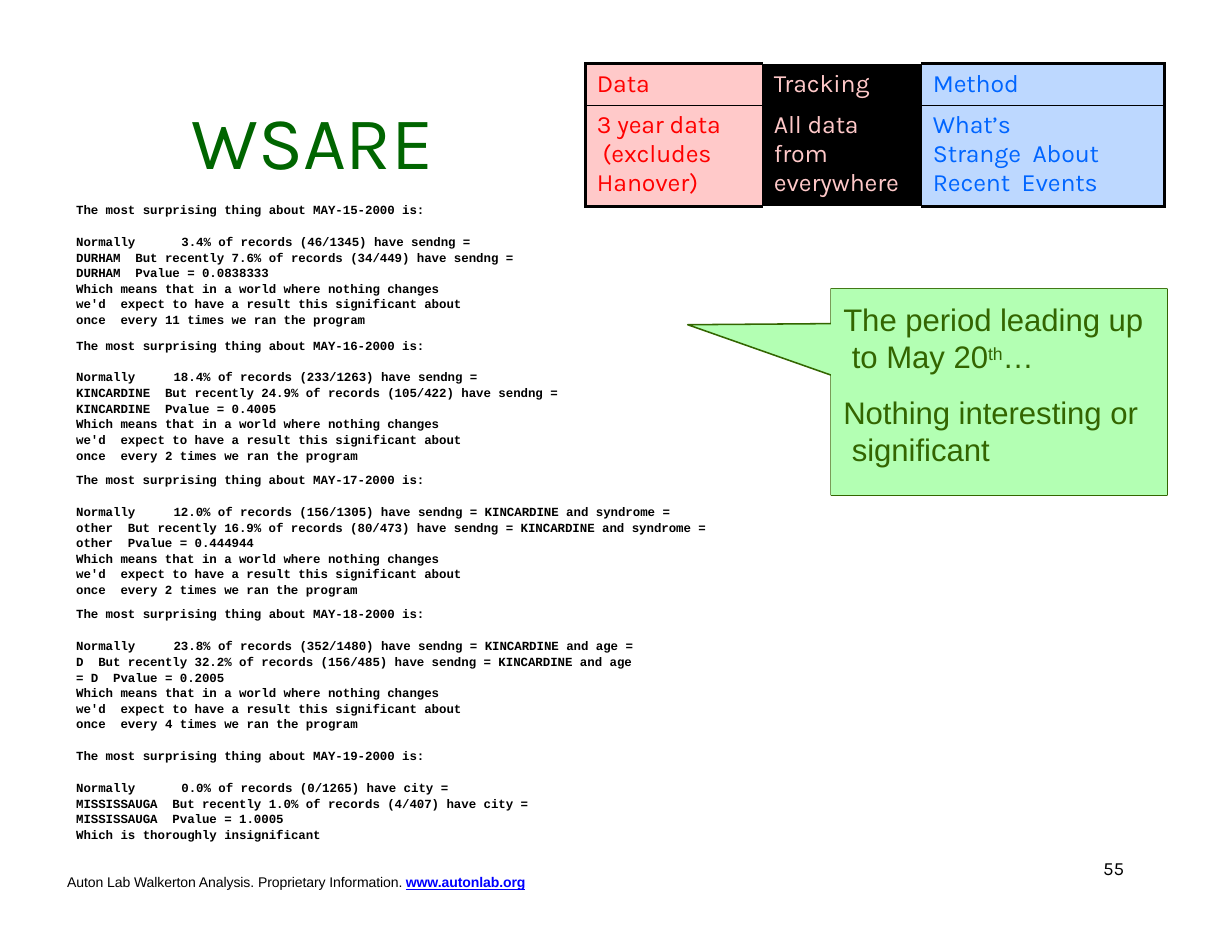
"""Build the WSARE surveillance results slide with its method table and callout."""
import pptx
import pptx.dml.color
import pptx.enum.shapes
import pptx.oxml
import pptx.oxml.ns
import pptx.util
from pptx.util import Inches, Pt


def rgb(value):
    return pptx.dml.color.RGBColor.from_string(value)


def write(p, text, size, font, color, bold=False, spacing=-5):
    for i, line in enumerate(text.split("\n")):
        if i:
            p.add_line_break()
        r = p.add_run()
        r.text = line
        r.font.size = Pt(size)
        r.font.name = font
        r.font.bold = bold
        r.font.color.rgb = rgb(color)
        r._r.get_or_add_rPr().set("spc", str(spacing))
    return r


prs = pptx.Presentation()
prs.slide_width, prs.slide_height = Inches(11), Inches(8.5)
s = prs.slides.add_slide(prs.slide_layouts[6])

labels = [
    (1.7, 0.8, 2.19, 0.83, 0.05, "WSARE", 48, "Karla"),
    (9.82, 7.63, 0.24, 0.23, 0.02, "55", 12, "Karla"),
    (0.59, 7.8, 4.19, 0.17, 0, "Auton Lab Walkerton Analysis. Proprietary Information. ", 9, "Arial"),
]
for left, top, width, height, inset, text, size, font in labels:
    sp = s.shapes.add_textbox(Inches(left), Inches(top), Inches(width), Inches(height))
    tf = sp.text_frame
    tf.word_wrap = text != "55"
    tf.margin_left = Inches(0.03 if text == "55" else 0.01)
    tf.margin_right = tf.margin_bottom = 0
    tf.margin_top = Inches(inset)
    write(tf.paragraphs[0], text, size, font, "006500" if text == "WSARE" else "000000")
r = write(tf.paragraphs[0], "www.autonlab.org", 9, "Arial", "0000FF", bold=True)
r.font.underline = True

meaning = ("Which means that in a world where nothing changes\n"
           "we'd  expect to have a result this significant about\n"
           "once  every {} times we ran the program")
report_boxes = [
    (1.77, 3.99, 1.1, [
        (15, 0.94, "3.4% of records (46/1345) have sendng =\n"
         "DURHAM  But recently 7.6% of records (34/449) have sendng =\n"
         "DURHAM  Pvalue = 0.0838333", meaning.format(11))]),
    (2.98, 4.32, 1.1, [
        (16, 0.87, "18.4% of records (233/1263) have sendng =\n"
         "KINCARDINE  But recently 24.9% of records (105/422) have sendng =\n"
         "KINCARDINE  Pvalue = 0.4005", meaning.format(2))]),
    (4.18, 5.7, 1.1, [
        (17, 0.87, "12.0% of records (156/1305) have sendng = KINCARDINE and syndrome =\n"
         "other  But recently 16.9% of records (80/473) have sendng = KINCARDINE and syndrome =\n"
         "other  Pvalue = 0.444944", meaning.format(2))]),
    (5.38, 5.11, 2.03, [
        (18, 0.87, "23.8% of records (352/1480) have sendng = KINCARDINE and age =\n"
         "D  But recently 32.2% of records (156/485) have sendng = KINCARDINE and age\n"
         "= D  Pvalue = 0.2005", meaning.format(4)),
        (19, 0.94, "0.0% of records (0/1265) have city =\n"
         "MISSISSAUGA  But recently 1.0% of records (4/407) have city =\n"
         "MISSISSAUGA  Pvalue = 1.0005", "Which is thoroughly insignificant")]),
]
for top, width, height, reports in report_boxes:
    sp = s.shapes.add_textbox(Inches(0.67), Inches(top), Inches(width), Inches(height))
    tf = sp.text_frame
    tf.word_wrap = True
    tf.margin_left = Inches(0.01)
    tf.margin_right = tf.margin_bottom = 0
    tf.margin_top = Inches(0.03)
    for n, (day, tab, finding, verdict) in enumerate(reports):
        heading = f"The most surprising thing about MAY-{day}-2000 is:"
        for i, text in enumerate([heading, "Normally\t" + finding, verdict]):
            first = n == 0 and i == 0
            p = tf.paragraphs[0] if first else tf.add_paragraph()
            p.line_spacing = 1.05
            p.space_before = Pt(0 if first or i == 2 else 10.4)
            if i == 1:
                p._p.get_or_add_pPr().append(pptx.oxml.parse_xml(
                    f'<a:tabLst {pptx.oxml.ns.nsdecls("a")}>'
                    f'<a:tab pos="{Inches(tab)}" algn="l"/></a:tabLst>'))
            write(p, text, 8, "Courier New", "000000", bold=True)

columns = [
    (1.58, "FFC9C9", "FF0000", ["Data", "3 year data\n (excludes\nHanover)"]),
    (1.42, "000000", "FFC9C9", ["Tracking", "All data\nfrom\neverywhere"]),
    (2.17, "BDD8FF", "0065FF", ["Method", "What’s\nStrange  About\nRecent  Events"]),
]
table = s.shapes.add_table(2, 3, Inches(5.23), Inches(0.57), Inches(5.17), Inches(1.27)).table
table.first_row = table.horz_banding = False
style = table._tbl.tblPr.find(pptx.oxml.ns.qn("a:tableStyleId"))
style.text = "{2D5ABB26-0587-4C30-8999-92F81FD0307C}"
table.rows[0].height, table.rows[1].height = Inches(0.37), Inches(0.9)
for c, (width, fill, color, texts) in enumerate(columns):
    table.columns[c].width = Inches(width)
    for row, text in enumerate(texts):
        cell = table.cell(row, c)
        outer = {"L": c == 0, "R": c == 2, "T": row == 0, "B": row == 1}
        for side, thick in outer.items():
            if c != 1:
                cell._tc.get_or_add_tcPr().append(pptx.oxml.parse_xml(
                    f'<a:ln{side} {pptx.oxml.ns.nsdecls("a")} w="{Pt(2.25 if thick else 1)}">'
                    '<a:solidFill><a:srgbClr val="000000"/></a:solidFill>'
                    f'</a:ln{side}>'))
        cell.fill.solid()
        cell.fill.fore_color.rgb = rgb(fill)
        cell.margin_left = Inches(0.1)
        cell.margin_right = cell.margin_bottom = 0
        cell.margin_top = Inches(0.05)
        write(cell.text_frame.paragraphs[0], text, 16, "Karla", color)

left, top, right, bottom = 7.42, 2.58, 10.42, 4.42
pointer = [(left, 2.89), (6.14, 2.9), (left, 3.35)]
outline = [(left, top), *pointer, (left, bottom), (right, bottom), (right, top)]
for points in (pointer, outline):
    corners = [(Inches(x), Inches(y)) for x, y in points]
    builder = s.shapes.build_freeform(*corners[0])
    builder.add_line_segments(corners[1:], close=True)
    sp = builder.convert_to_shape()
    sp.shadow.inherit = False
    if points is pointer:
        sp.fill.solid()
        sp.fill.fore_color.rgb = rgb("B3FFB3")
        sp.line.fill.background()
    else:
        sp.fill.background()
        sp.line.color.rgb = rgb("336600")
        sp.line.width = Pt(1)

sp = s.shapes.add_shape(pptx.enum.shapes.MSO_SHAPE.RECTANGLE, Inches(left), Inches(top),
                        Inches(right - left), Inches(bottom - top))
sp.shadow.inherit = False
sp.fill.solid()
sp.fill.fore_color.rgb = rgb("B3FFB3")
sp.line.fill.background()
tf = sp.text_frame
tf.word_wrap = True
tf.vertical_anchor = pptx.enum.text.MSO_ANCHOR.TOP
tf.margin_left = Inches(0.11)
tf.margin_right = tf.margin_bottom = 0
tf.margin_top = Inches(0.1)
p = tf.paragraphs[0]
p.alignment = pptx.enum.text.PP_ALIGN.LEFT
write(p, "The period leading up\n to May 20", 20, "Arial", "336500")
r = write(p, "th", 19.5, "Arial", "336500")
r._r.get_or_add_rPr().set("baseline", "26000")
write(p, "…", 20, "Arial", "336500")
p = tf.add_paragraph()
p.alignment = pptx.enum.text.PP_ALIGN.LEFT
p.space_before = Pt(12)
write(p, "Nothing interesting or\n significant", 20, "Arial", "336500")

prs.save("out.pptx")
